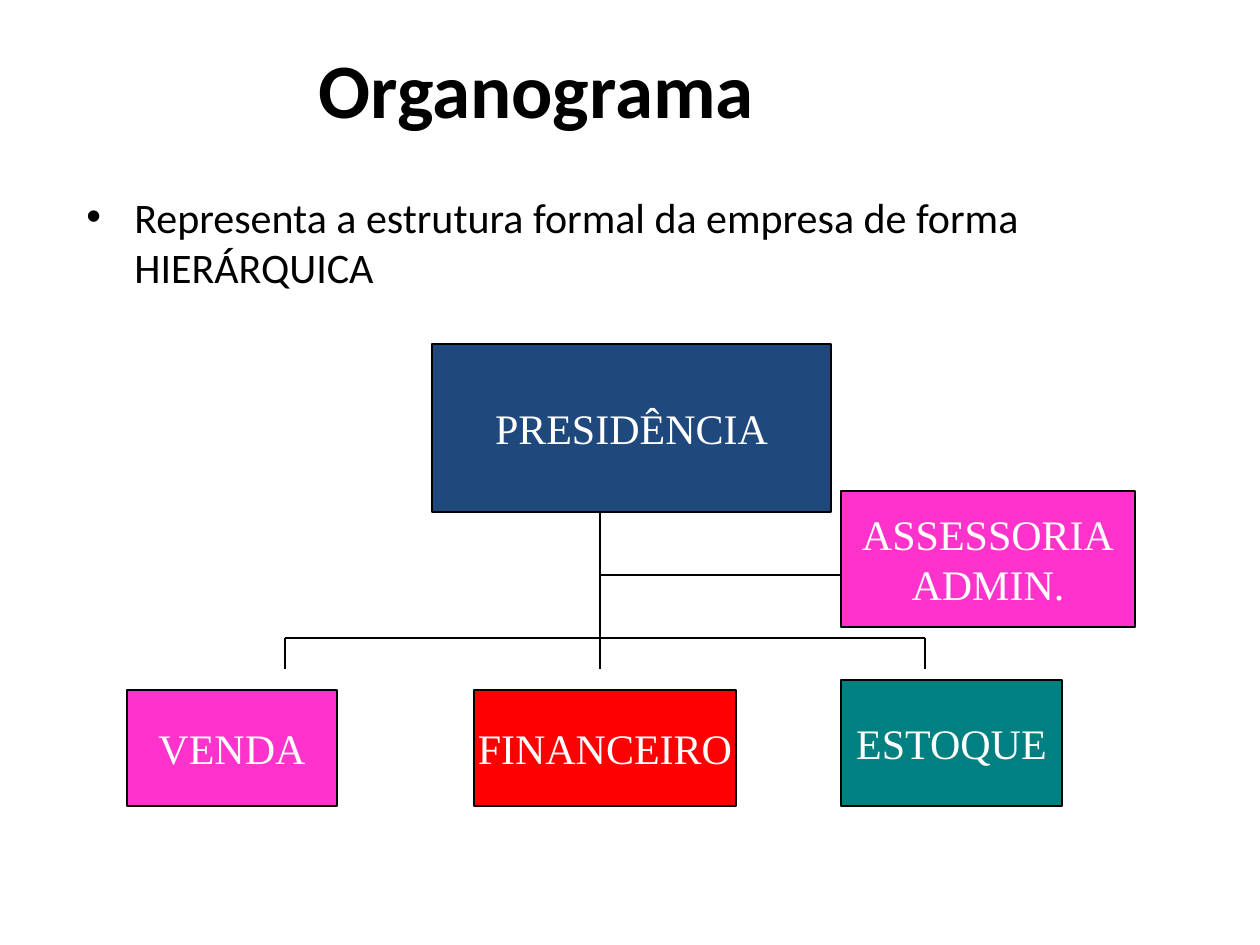
from pptx import Presentation
from pptx.dml.color import RGBColor
from pptx.enum.shapes import MSO_CONNECTOR as Connector, MSO_SHAPE as Shape
from pptx.enum.text import MSO_ANCHOR as Anchor, PP_ALIGN as Align
from pptx.oxml.ns import qn
from pptx.util import Emu, Pt
from lxml.etree import SubElement

BLACK = RGBColor(0x00, 0x00, 0x00)
WHITE = RGBColor(0xFF, 0xFF, 0xFF)
NAVY = RGBColor(0x1F, 0x49, 0x7D)
PINK = RGBColor(0xFF, 0x33, 0xCC)
RED = RGBColor(0xFF, 0x00, 0x00)
TEAL = RGBColor(0x00, 0x80, 0x80)


def px(length):
    return Emu(round(length * 914400 / 126))


def write(box, text, size=24, font="Calibri", color=BLACK, bold=False,
          align=Align.LEFT, anchor=Anchor.TOP, wrap=True, indent=0, before=0):
    frame = box.text_frame
    frame.word_wrap = wrap
    frame.vertical_anchor = anchor
    for index, line in enumerate(text.split("\n")):
        para = frame.add_paragraph() if index else frame.paragraphs[0]
        para.alignment = align
        para.space_before = Pt(before)
        span = para.add_run()
        span.text = line
        span.font.size = Pt(size)
        span.font.name = font
        span.font.bold = bold
        span.font.color.rgb = color
        if indent:
            props = para._p.get_or_add_pPr()
            props.set("marL", str(px(indent)))
            props.set("indent", str(-px(indent)))
            SubElement(props, qn("a:buFont")).set("typeface", "Arial")
            SubElement(props, qn("a:buChar")).set("char", "•")


deck = Presentation()
deck.slide_width, deck.slide_height = px(1260), px(945)
page = deck.slides.add_slide(deck.slide_layouts[6])

title = page.shapes.add_textbox(px(64), px(35), px(945), px(105))
write(title, "Organograma", size=44, bold=True, align=Align.CENTER, anchor=Anchor.MIDDLE)

body = page.shapes.add_textbox(px(74), px(185), px(1186), px(602))
write(body, "Representa a estrutura formal da empresa de forma HIERÁRQUICA",
      indent=48, before=6)

LEFT_X, TRUNK_X, RIGHT_X = 285, 600, 925
TOP_Y, STAFF_Y, BRANCH_Y, END_Y = 512, 575, 638, 669
lines = [
    (LEFT_X, BRANCH_Y, RIGHT_X, BRANCH_Y),
    (LEFT_X, BRANCH_Y, LEFT_X, END_Y),
    (TRUNK_X, TOP_Y, TRUNK_X, END_Y),
    (RIGHT_X, BRANCH_Y, RIGHT_X, END_Y),
    (TRUNK_X, STAFF_Y, RIGHT_X, STAFF_Y),
]
for ends in lines:
    line = page.shapes.add_connector(Connector.STRAIGHT, *map(px, ends))
    line.line.color.rgb = BLACK
    line.line.width = Pt(0.75)
    SubElement(line._element.spPr, qn("a:effectLst"))

units = [
    ("PRESIDÊNCIA", NAVY, 432, 344, 399, 168),
    ("VENDA", PINK, 127, 690, 210, 116),
    ("FINANCEIRO", RED, 474, 690, 262, 116),
    ("ESTOQUE", TEAL, 841, 680, 221, 126),
    ("ASSESSORIA\nADMIN.", PINK, 841, 491, 294, 136),
]
for name, fill, *place in units:
    unit = page.shapes.add_shape(Shape.RECTANGLE, *map(px, place))
    unit.shadow.inherit = False
    unit.fill.solid()
    unit.fill.fore_color.rgb = fill
    unit.line.color.rgb = BLACK
    unit.line.width = Pt(0.75)
    write(unit, name, font="Times New Roman", color=WHITE,
          align=Align.CENTER, anchor=Anchor.MIDDLE, wrap=False)

deck.save("out.pptx")
